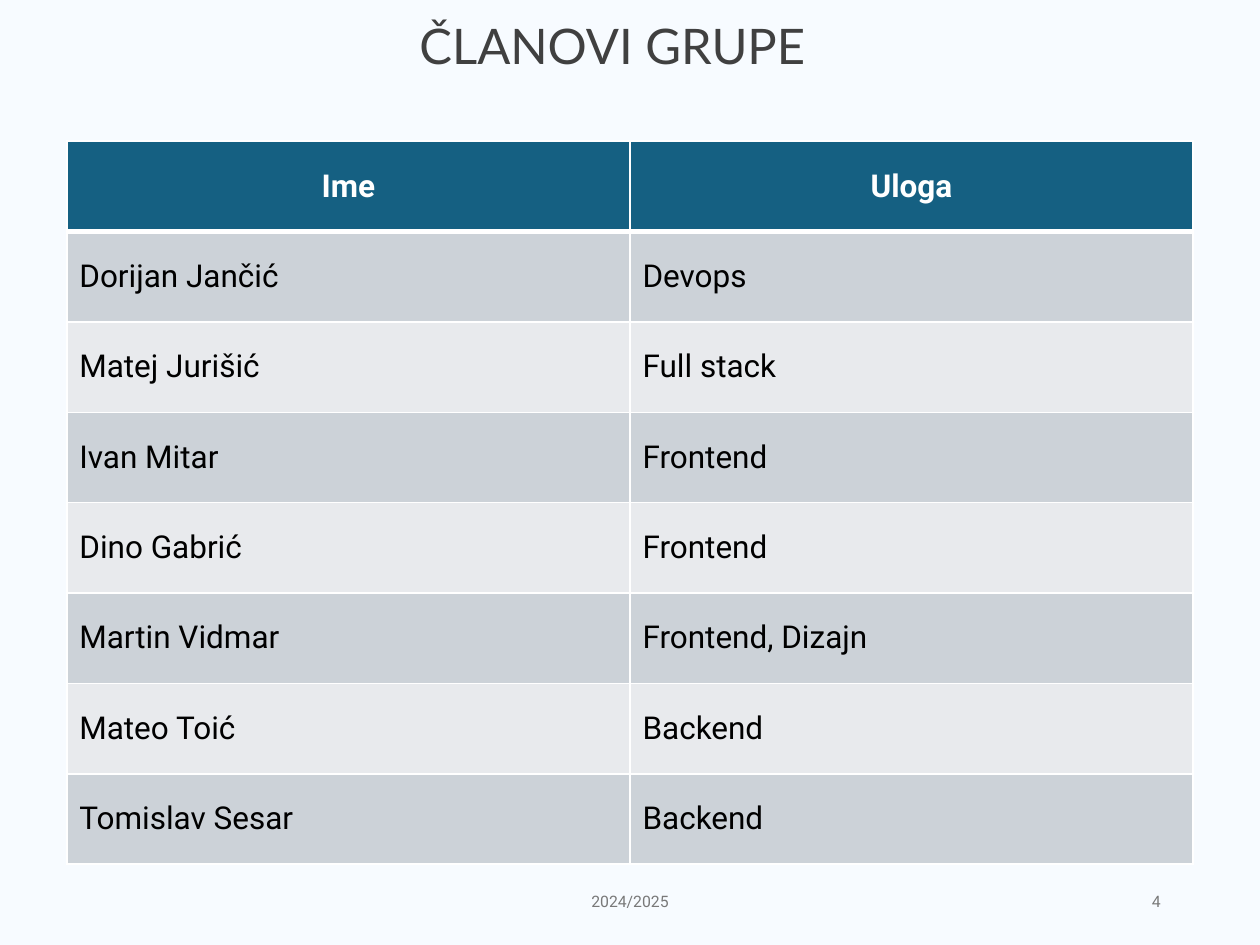
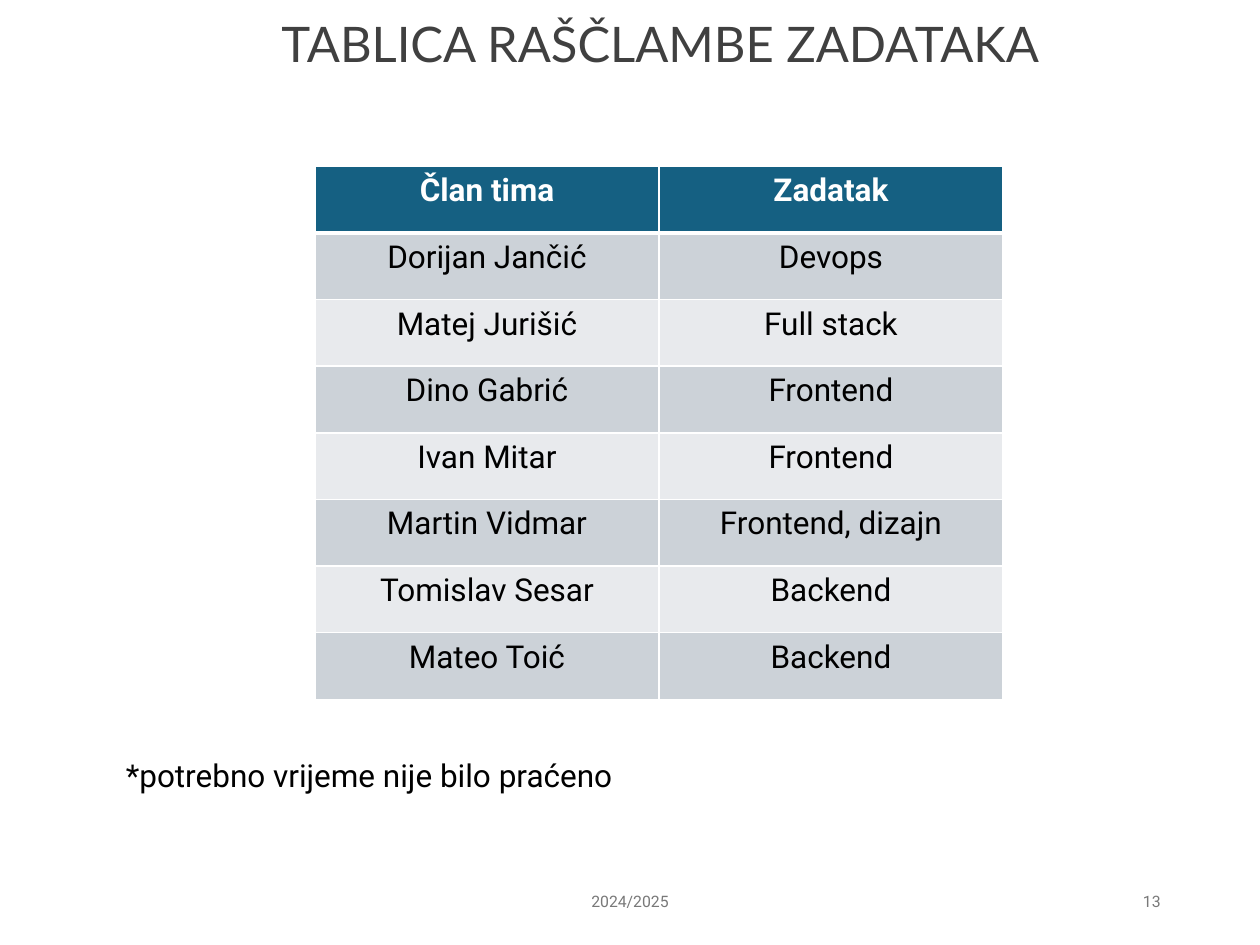
import pptx
import pptx.util
import pptx.oxml
import pptx.dml.color
import pptx.enum.text
from pptx.util import Inches

COLORS = {
    "title": "404040", "footer": "797979", "text": "000000", "white": "FFFFFF",
    "header": "156082", "odd_row": "CCD2D8", "even_row": "E8EAED",
}
ALIGN = pptx.enum.text.PP_ALIGN
ANCHOR = pptx.enum.text.MSO_ANCHOR
DRAWING_NS = "http://schemas.openxmlformats.org/drawingml/2006/main"

# Content of each slide; areas are left, top, width, height in inches
slides = [
    {
        "background": "F7FBFF", "number": "4",
        "title": "ČLANOVI GRUPE", "title_at": (1.61, 0.02, 6.5, 0.68),
        "table_at": (0.53, 1.12, 8.94, 5.74),
        "body_align": ALIGN.LEFT, "anchor": ANCHOR.MIDDLE,
        "rows": [
            ("Ime", "Uloga"),
            ("Dorijan Jančić", "Devops"),
            ("Matej Jurišić", "Full stack"),
            ("Ivan Mitar", "Frontend"),
            ("Dino Gabrić", "Frontend"),
            ("Martin Vidmar", "Frontend, Dizajn"),
            ("Mateo Toić", "Backend"),
            ("Tomislav Sesar", "Backend"),
        ],
    },
    {
        "background": "FFFFFF", "number": "13",
        "title": "TABLICA RAŠČLAMBE ZADATAKA", "title_at": (1.99, 0, 6.5, 0.68),
        "table_at": (2.5, 1.32, 5.46, 4.23),
        "body_align": ALIGN.CENTER, "anchor": ANCHOR.TOP,
        "rows": [
            ("Član tima", "Zadatak"),
            ("Dorijan Jančić", "Devops"),
            ("Matej Jurišić", "Full stack"),
            ("Dino Gabrić", "Frontend"),
            ("Ivan Mitar", "Frontend"),
            ("Martin Vidmar", "Frontend, dizajn"),
            ("Tomislav Sesar", "Backend"),
            ("Mateo Toić", "Backend"),
        ],
        "note": "*potrebno vrijeme nije bilo praćeno",
    },
]


def write(frame, text, size, color, align, font="Roboto", bold=False):
    para = frame.paragraphs[0]
    para.text = text
    para.alignment = align
    para.font.name = font
    para.font.size = pptx.util.Pt(size)
    para.font.bold = bold
    para.font.color.rgb = pptx.dml.color.RGBColor.from_string(COLORS[color])


def add_text(page, area, *style, anchor=ANCHOR.MIDDLE, **options):
    box = page.shapes.add_textbox(*map(Inches, area))
    box.text_frame.word_wrap = True
    box.text_frame.vertical_anchor = anchor
    write(box.text_frame, *style, **options)
    return box.text_frame


deck = pptx.Presentation()
deck.slide_width, deck.slide_height = Inches(10), Inches(7.5)

for content in slides:
    page = deck.slides.add_slide(deck.slide_layouts[6])
    background = page.background.fill
    background.solid()
    background.fore_color.rgb = pptx.dml.color.RGBColor.from_string(content["background"])

    # Title
    title = add_text(page, content["title_at"], content["title"], 28, "title",
                     ALIGN.CENTER, font="Lato")
    title.margin_left = title.margin_right = Inches(0.07)
    title.margin_top = title.margin_bottom = Inches(0.04)

    # Table of members, with equal columns and rows
    rows = content["rows"]
    left, top, width, height = map(Inches, content["table_at"])
    table = page.shapes.add_table(len(rows), 2, left, top, width, height).table
    for row_index, row in enumerate(rows):
        is_header = row_index == 0
        row_color = "header" if is_header else "odd_row" if row_index % 2 else "even_row"
        for column_index, text in enumerate(row):
            cell = table.cell(row_index, column_index)
            cell.vertical_anchor = content["anchor"]
            write(cell.text_frame, text, 18, "white" if is_header else "text",
                  ALIGN.CENTER if is_header else content["body_align"], bold=is_header)

            # White borders, thicker under the header
            properties = cell._tc.get_or_add_tcPr()
            for side in "LRTB":
                thick = (row_index, side) in ((0, "B"), (1, "T"))
                line_width = pptx.util.Pt(3 if thick else 1)
                properties.append(pptx.oxml.parse_xml(
                    f'<a:ln{side} xmlns:a="{DRAWING_NS}" w="{line_width}"><a:solidFill>'
                    f'<a:srgbClr val="{COLORS["white"]}"/></a:solidFill></a:ln{side}>'))
            cell.fill.solid()
            cell.fill.fore_color.rgb = pptx.dml.color.RGBColor.from_string(COLORS[row_color])

    # Note under the table
    if "note" in content:
        add_text(page, (0.9, 5.95, 4.49, 0.4), content["note"], 18, "text",
                 ALIGN.LEFT, anchor=ANCHOR.TOP)

    # Footer: school year and page number
    add_text(page, (3.31, 6.95, 3.38, 0.4), "2024/2025", 9, "footer", ALIGN.CENTER)
    add_text(page, (7.06, 6.95, 2.25, 0.4), content["number"], 9, "footer", ALIGN.RIGHT)

deck.save("out.pptx")
